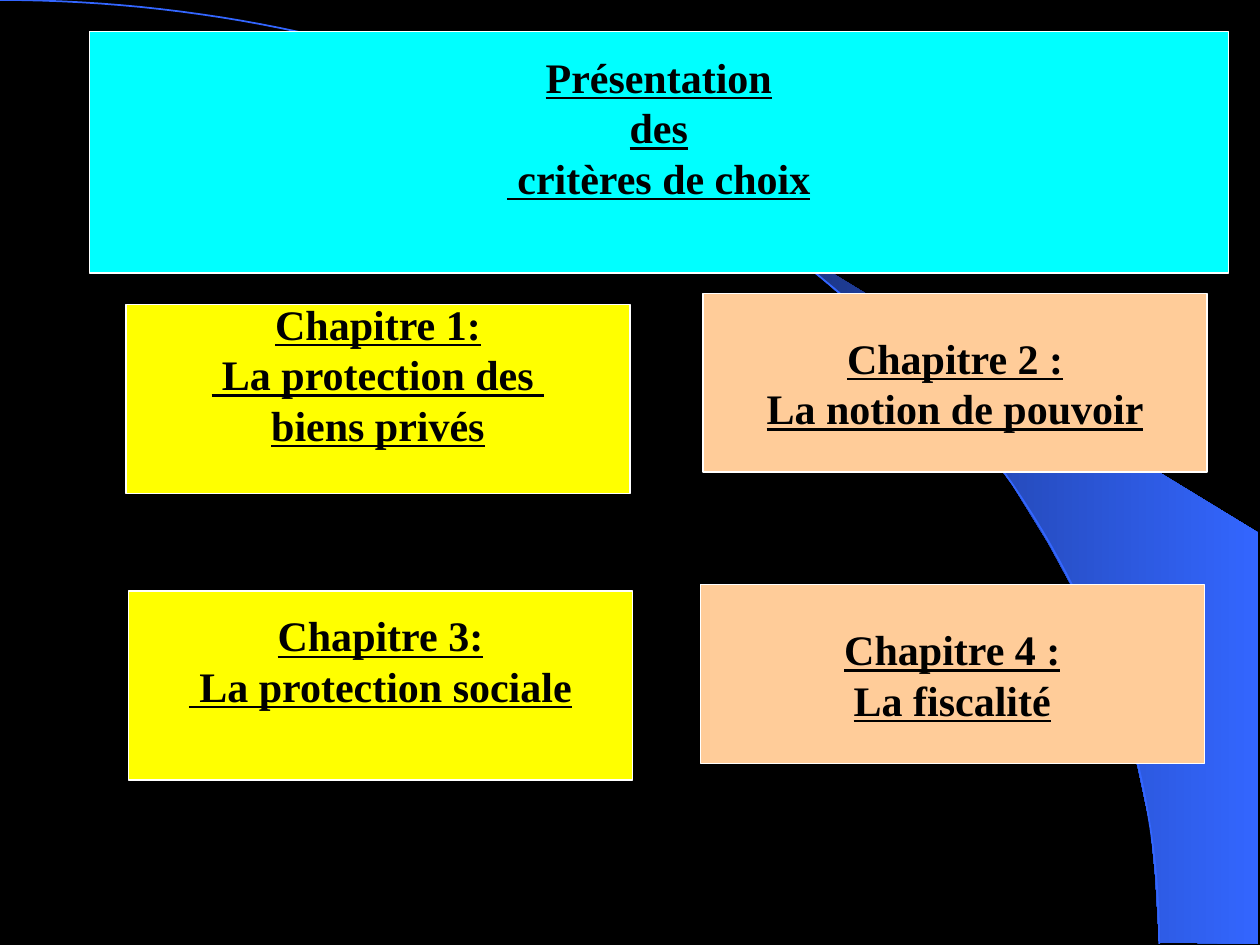
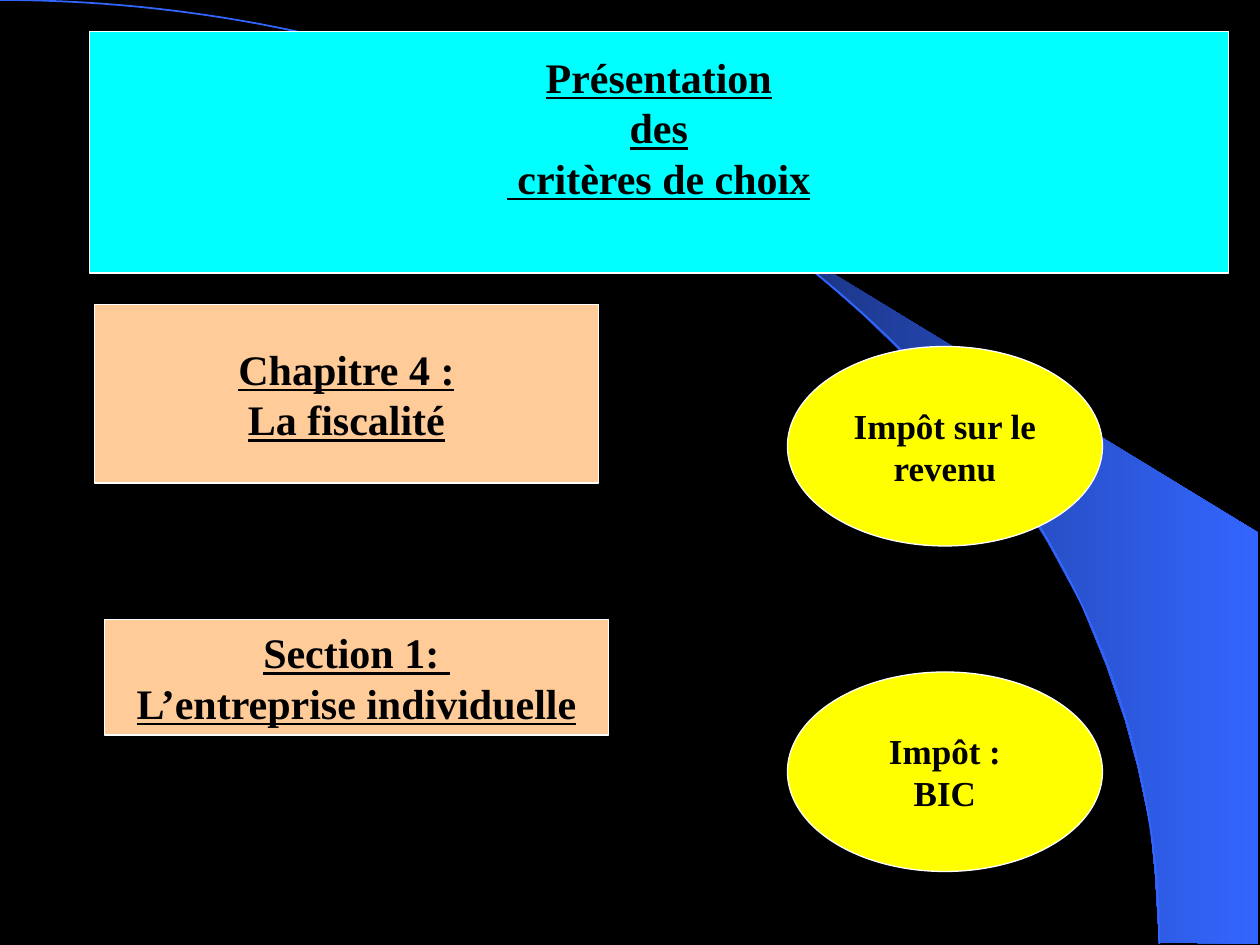
import math
from dataclasses import dataclass

from pptx import Presentation
from pptx.dml.color import RGBColor
from pptx.enum import shapes, text
from pptx.util import Pt

COLORS = {
    "background": "000000",
    "text": "000000",
    "outline": "FFFFFF",
    "title": "00FFFF",
    "yellow": "FFFF00",
    "peach": "FFCC99",
    "band_dark": "182F76",
    "band_light": "3366FF",
}
FONT = "Times New Roman"
LINE_FACTOR = 1.2
SLIDE_W, SLIDE_H = 720, 540
ARC_W, ARC_H = 662.4, 539.3
ARC_STEPS = 90
BAND_POINTS = [
    (662.4, 538.6), (719.3, 539.3), (719.3, 304.6), (424.1, 124.6),
    (449.3, 143.3), (470.2, 159.8), (493.2, 180), (515.5, 201.6),
    (548.6, 237.6), (578.2, 276.5), (599, 310.3), (617.8, 344.9),
    (632.2, 380.2), (643, 411.8), (650.2, 438.5), (657.4, 472.3),
    (660.2, 501.1),
]


@dataclass(frozen=True)
class Card:
    """A filled shape with centred lines, raised by half of `lift` lines."""
    left: float
    top: float
    width: float
    height: float
    color: str
    lines: tuple[str, ...]
    lift: int = 0
    size: float = 24
    underline: bool = True
    preset: shapes.MSO_SHAPE = shapes.MSO_SHAPE.RECTANGLE


def chapter(left: float, top: float, *lines: str, height: float = 102) -> Card:
    return Card(left, top, 288, height, "peach", lines)


def raised_chapter(left: float, top: float, *lines: str) -> Card:
    return Card(left, top, 288, 108, "yellow", lines, lift=1)


def tax(top: float, *lines: str) -> Card:
    return Card(450, top, 180, 114, "yellow", lines, size=20,
                underline=False, preset=shapes.MSO_SHAPE.OVAL)


TITLE = Card(51, 18, 651, 138, "title",
             ("Présentation", "des", " critères de choix"), lift=1)
SLIDES = [
    [
        raised_chapter(72, 174.2, "Chapitre 1:", " La protection des ", "biens privés"),
        chapter(401.8, 167.8, "Chapitre 2 :", "La notion de pouvoir"),
        raised_chapter(73.4, 337.8, "Chapitre 3:", " La protection sociale"),
        chapter(400.2, 334.2, "Chapitre 4 :", "La fiscalité"),
    ],
    [
        chapter(54, 174, "Chapitre 4 :", "La fiscalité"),
        chapter(59.8, 354, "Section 1: ", "L’entreprise individuelle", height=66),
        tax(198, "Impôt sur le", "revenu"),
        tax(384, "Impôt :", "BIC"),
    ],
]


def rgb(name: str) -> RGBColor:
    return RGBColor.from_string(COLORS[name])


def add_outline(s, points: list[tuple[float, float]], close: bool):
    first, *rest = [(Pt(x), Pt(y)) for x, y in points]
    builder = s.shapes.build_freeform(*first)
    builder.add_line_segments(rest, close=close)
    sp = builder.convert_to_shape()
    sp.shadow.inherit = False
    return sp


def add_backdrop(s) -> None:
    """Draw the gradient band and the quarter ellipse that edges it."""
    band = add_outline(s, BAND_POINTS, close=True)
    band.fill.gradient()
    band.fill.gradient_angle = 0
    for stop, name in zip(band.fill.gradient_stops, ("band_dark", "band_light")):
        stop.color.rgb = rgb(name)
    band.line.fill.background()

    angles = [math.pi / 2 * i / ARC_STEPS for i in range(ARC_STEPS + 1)]
    arc = add_outline(s, [(ARC_W * math.sin(a), ARC_H * (1 - math.cos(a)))
                          for a in angles], close=False)
    arc.fill.background()
    arc.line.color.rgb = rgb("band_light")
    arc.line.width = Pt(1)


def add_card(s, card: Card) -> None:
    sp = s.shapes.add_shape(card.preset, Pt(card.left), Pt(card.top),
                            Pt(card.width), Pt(card.height))
    sp.shadow.inherit = False
    sp.fill.solid()
    sp.fill.fore_color.rgb = rgb(card.color)
    sp.line.color.rgb = rgb("outline")
    sp.line.width = Pt(0.75)

    line_height = card.size * LINE_FACTOR
    tf = sp.text_frame
    tf.word_wrap = False
    tf.vertical_anchor = text.MSO_ANCHOR.MIDDLE
    tf.margin_left = tf.margin_right = Pt(7.2)
    tf.margin_top = Pt(3.6)
    tf.margin_bottom = Pt(3.6 + card.lift * line_height)
    for i, line in enumerate(card.lines):
        p = tf.add_paragraph() if i else tf.paragraphs[0]
        p.alignment = text.PP_ALIGN.CENTER
        p.line_spacing = Pt(line_height)
        r = p.add_run()
        r.text = line
        r.font.name = FONT
        r.font.size = Pt(card.size)
        r.font.bold = True
        r.font.underline = card.underline
        r.font.color.rgb = rgb("text")


def main() -> None:
    prs = Presentation()
    prs.slide_width, prs.slide_height = Pt(SLIDE_W), Pt(SLIDE_H)
    backdrop = prs.slide_master.background.fill
    backdrop.solid()
    backdrop.fore_color.rgb = rgb("background")
    for cards in SLIDES:
        s = prs.slides.add_slide(prs.slide_layouts[6])
        add_backdrop(s)
        for card in (TITLE, *cards):
            add_card(s, card)
    prs.save("out.pptx")


if __name__ == "__main__":
    main()
